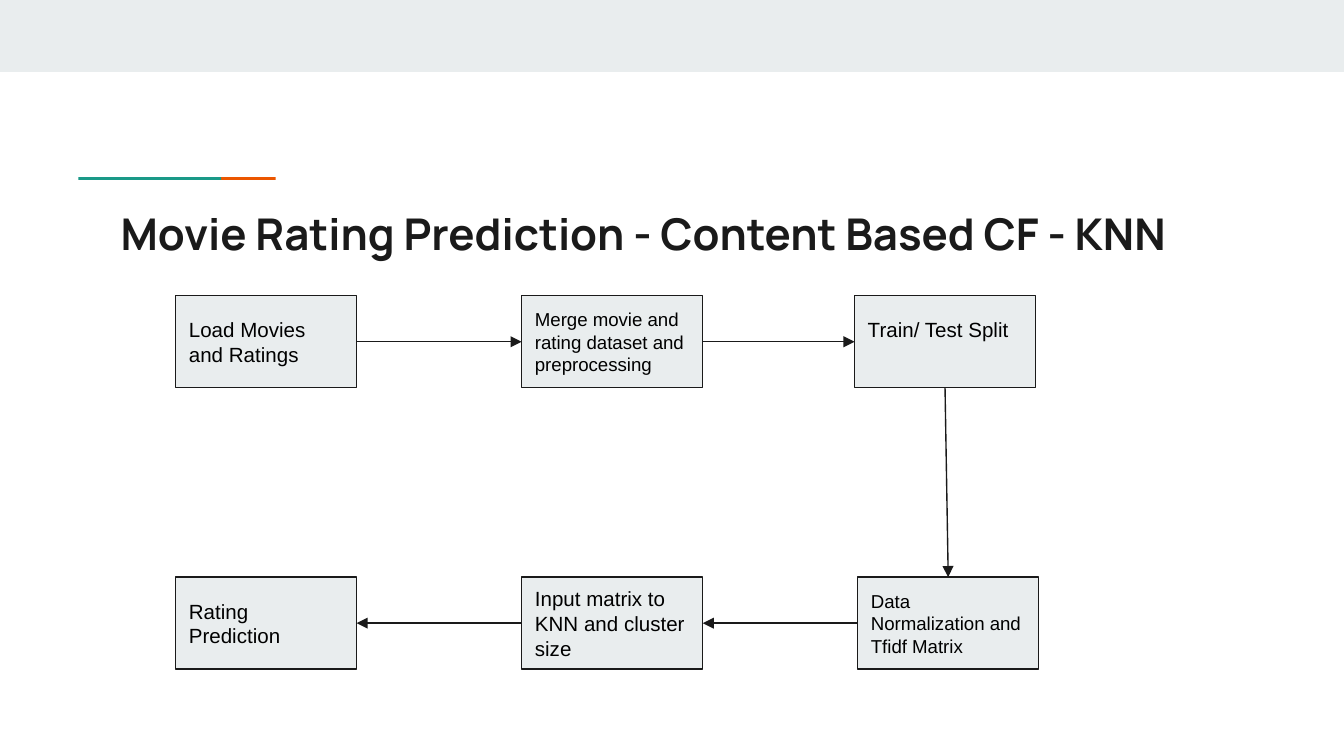
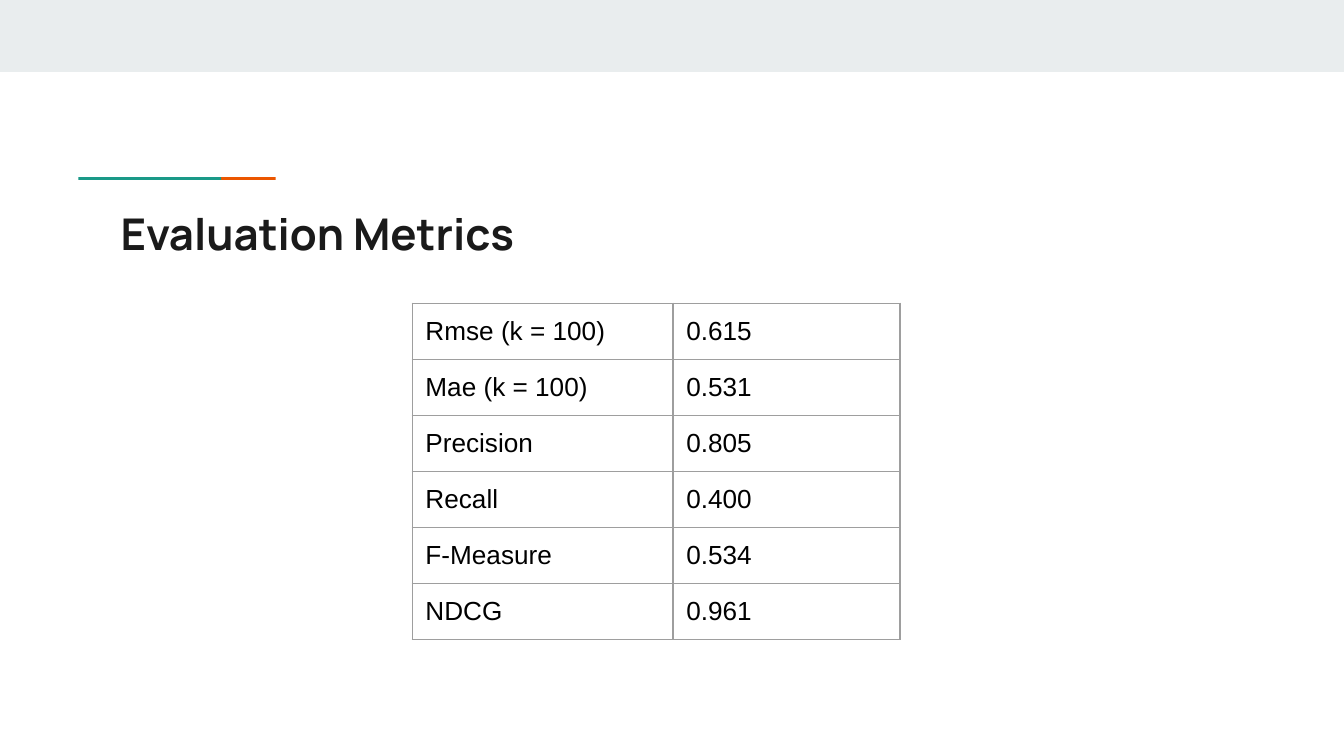
from pptx import Presentation
from pptx.dml.color import RGBColor
from pptx.enum.shapes import MSO_CONNECTOR as Line, MSO_SHAPE as Shape
from pptx.enum.text import MSO_ANCHOR as Anchor, PP_ALIGN as Align
from pptx.oxml import parse_xml
from pptx.oxml.ns import nsdecls
from pptx.util import Cm, Pt

PALE = RGBColor(0xE9, 0xED, 0xEE)
TEAL = RGBColor(0x1A, 0x99, 0x88)
ORANGE = RGBColor(0xEB, 0x56, 0x00)
DARK = RGBColor(0x1A, 0x1A, 0x1A)
BLACK = RGBColor(0x00, 0x00, 0x00)
GREY = RGBColor(0x9E, 0x9E, 0x9E)

WIDE, HIGH = 25.4, 14.29
PAD = 0.25
TOP, LEFT, BOTTOM, RIGHT = range(4)

FLOW = (3.32, 5.59, 16.31, 7.06)
GRID = (7.79, 5.73, 9.22, 6.36)
STEPS = [
    ("Load Movies and Ratings", 11),
    ("Merge movie and rating dataset and preprocessing", 10),
    ("Train/ Test Split", 11),
    ("Data Normalization and Tfidf Matrix", 10),
    ("Input matrix to KNN and cluster size", 11),
    ("Rating Prediction", 11),
]
SIDES = [(RIGHT, LEFT), (RIGHT, LEFT), (BOTTOM, TOP), (LEFT, RIGHT), (LEFT, RIGHT)]
SCORES = [
    ("Rmse (k = 100)", "0.615"),
    ("Mae (k = 100)", "0.531"),
    ("Precision", "0.805"),
    ("Recall", "0.400"),
    ("F-Measure", "0.534"),
    ("NDCG", "0.961"),
]


def write(frame, text, size, name="Arial", color=BLACK, bold=False):
    """Put styled, wrapped text in a padded frame."""
    frame.text = text
    frame.word_wrap = True
    frame.margin_left = frame.margin_right = Cm(PAD)
    frame.margin_top = frame.margin_bottom = Cm(PAD)
    frame.paragraphs[0].alignment = Align.LEFT
    for run in frame.paragraphs[0].runs:
        font = run.font
        font.name, font.size, font.bold = name, Pt(size), bold
        font.color.rgb = color


def block(slide, box, fill):
    """Draw a plain filled rectangle without an outline."""
    rect = slide.shapes.add_shape(Shape.RECTANGLE, *map(Cm, box))
    rect.shadow.inherit = False
    rect.fill.solid()
    rect.fill.fore_color.rgb = fill
    rect.line.fill.background()
    return rect


def base(deck, title):
    """Add a slide with the top band, the accent rule and the title."""
    slide = deck.slides.add_slide(deck.slide_layouts[6])
    block(slide, (0, 0, WIDE, 1.36), PALE)
    for left, fill in ((2.51, ORANGE), (1.48, TEAL)):
        block(slide, (left, 3.35, 2.7, 0.05), fill)
    label = slide.shapes.add_textbox(*map(Cm, (2.03, 3.66, 21.36, 1.5)))
    write(label.text_frame, title, 23.4, "Manrope", DARK, True)
    return slide


def step(slide, box, text, size):
    """Draw one outlined step of the flow."""
    rect = block(slide, box, PALE)
    rect.line.color.rgb = DARK
    rect.line.width = Pt(0.75)
    write(rect.text_frame, text, size)
    rect.text_frame.vertical_anchor = Anchor.MIDDLE
    return rect


def arrow(slide, start, end, sides):
    """Join two steps with an arrow between the given sides."""
    link = slide.shapes.add_connector(Line.STRAIGHT, 0, 0, 0, 0)
    link.begin_connect(start, sides[0])
    link.end_connect(end, sides[1])
    link.line.color.rgb = DARK
    link.line.width = Pt(0.75)
    line = link.line._get_or_add_ln()
    line.append(parse_xml(f'<a:tailEnd {nsdecls("a")} type="triangle"/>'))
    link._element.spPr.append(parse_xml(f'<a:effectLst {nsdecls("a")}/>'))


def flow(slide, box):
    """Lay the steps out along the top row and back along the bottom."""
    left, top, wide, high = box
    w, h = 3.42, 1.74
    mid, last = left + 6.54, left + wide - w
    spots = [(left, top), (mid, top), (last - 0.06, top)]
    spots += [(x, top + high - h) for x in (last, mid, left)]
    rects = [step(slide, (*spot, w, h), *item) for spot, item in zip(spots, STEPS)]
    rects[2].text_frame.margin_bottom = Cm(PAD + 0.47)
    for start, end, sides in zip(rects, rects[1:], SIDES):
        arrow(slide, start, end, sides)


def edge(cell):
    """Rule all four sides of a cell."""
    props = cell._tc.get_or_add_tcPr()
    for side in "LRTB":
        props.append(parse_xml(
            f'<a:ln{side} {nsdecls("a")} w="{Pt(0.75)}"><a:solidFill>'
            f'<a:srgbClr val="{GREY}"/></a:solidFill></a:ln{side}>'))


def grid(slide, box, rows):
    """Fill the box with a plain ruled table of names and scores."""
    left, top, wide, high = map(Cm, box)
    table = slide.shapes.add_table(len(rows), 2, left, top, wide, high).table
    table.first_row = table.horz_banding = False
    table.columns[0].width = Cm(4.93)
    table.columns[1].width = wide - Cm(4.93)
    for r, row in enumerate(rows):
        for c, text in enumerate(row):
            cell = table.cell(r, c)
            write(cell.text_frame, text, 14)
            cell.margin_left = cell.margin_right = cell.margin_top = Cm(PAD)
            cell.margin_bottom = Cm(0.2)
            edge(cell)
            cell.fill.background()


def main():
    """Build and save both slides."""
    deck = Presentation()
    deck.slide_width, deck.slide_height = Cm(WIDE), Cm(HIGH)
    flow(base(deck, "Movie Rating Prediction - Content Based CF - KNN"), FLOW)
    grid(base(deck, "Evaluation Metrics"), GRID, SCORES)
    deck.save("out.pptx")


if __name__ == "__main__":
    main()
